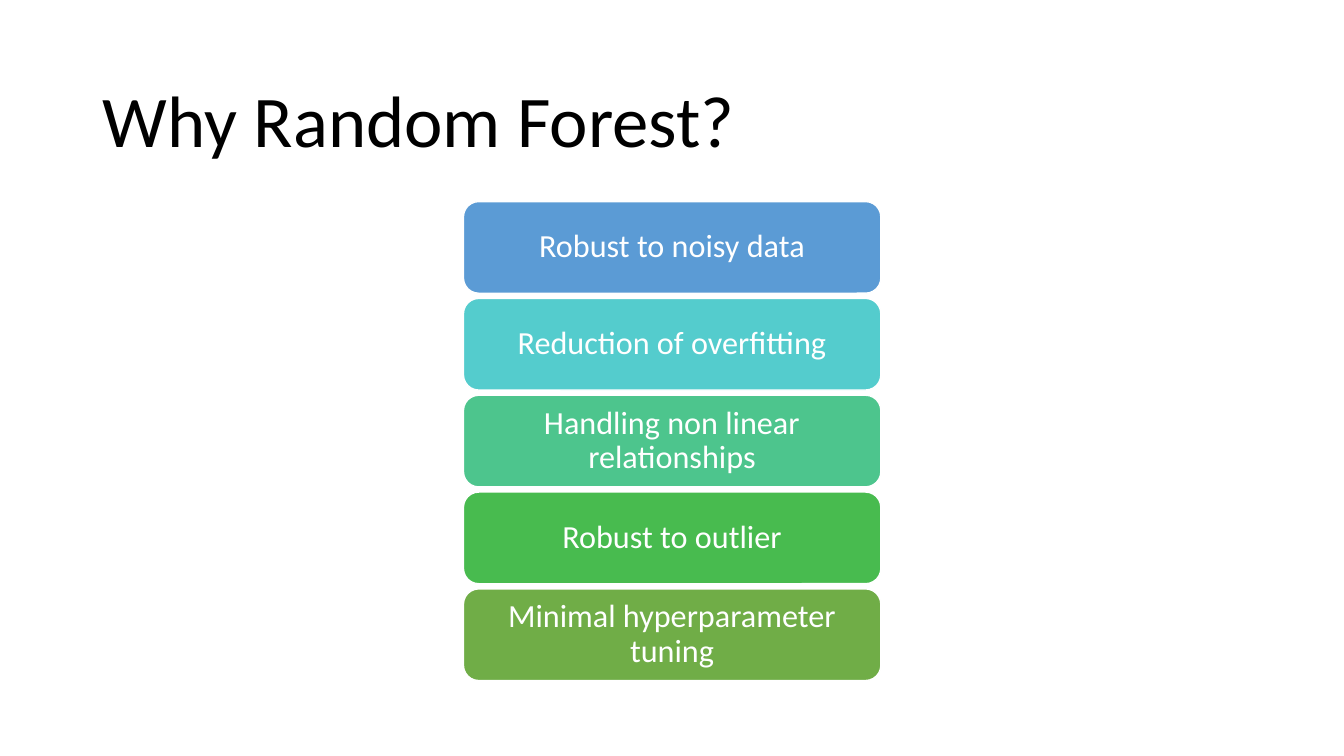
from dataclasses import dataclass

from pptx import Presentation
from pptx.dml.color import RGBColor
from pptx.enum import shapes, text
from pptx.util import Cm, Pt

FONT = "Calibri"
LEFT, TOP, WIDTH, HEIGHT, PITCH = 11.68, 5.08, 10.52, 2.31, 2.44


@dataclass
class Reason:
    label: str
    fill: str


REASONS = [
    Reason("Robust to noisy data", "5B9BD5"),
    Reason("Reduction of overfitting", "54CCCD"),
    Reason("Handling non linear relationships", "4DC58D"),
    Reason("Robust to outlier", "48BB4F"),
    Reason("Minimal hyperparameter tuning", "70AD47"),
]


def paint(target, color: str) -> None:
    """Give a fill or a line one solid colour."""
    target.solid()
    target.fore_color.rgb = RGBColor.from_string(color)


def write(shape, label: str, size: float, color: str, align) -> None:
    """Set one paragraph, centred vertically in its shape."""
    frame = shape.text_frame
    frame.word_wrap = True
    frame.auto_size = text.MSO_AUTO_SIZE.NONE
    frame.vertical_anchor = text.MSO_ANCHOR.MIDDLE
    frame.text = label
    para = frame.paragraphs[0]
    para.alignment = align
    para.line_spacing = 0.9
    para.space_before = Pt(0)
    para.font.name = FONT
    para.font.size = Pt(size)
    paint(para.font.fill, color)


def draw_title(slide, label: str) -> None:
    title = slide.shapes.title
    title.left, title.top = Cm(2.34), Cm(1.55)
    title.width, title.height = Cm(29.21), Cm(3.15)
    write(title, label, 52, "000000", text.PP_ALIGN.LEFT)


def draw_reason(slide, row: int, reason: Reason) -> None:
    box = slide.shapes.add_shape(
        shapes.MSO_SHAPE.ROUNDED_RECTANGLE,
        Cm(LEFT), Cm(TOP + row * PITCH), Cm(WIDTH), Cm(HEIGHT))
    box.shadow.inherit = False
    paint(box.fill, reason.fill)
    paint(box.line.fill, "FFFFFF")
    box.line.width = Pt(1)
    write(box, reason.label, 23, "FFFFFF", text.PP_ALIGN.CENTER)


def main() -> None:
    deck = Presentation()
    deck.slide_width, deck.slide_height = Cm(33.87), Cm(19.05)
    slide = deck.slides.add_slide(deck.slide_layouts[5])

    # Title
    draw_title(slide, "Why Random Forest?")

    # Stack of reasons
    for row, reason in enumerate(REASONS):
        draw_reason(slide, row, reason)

    deck.save("out.pptx")


if __name__ == "__main__":
    main()
